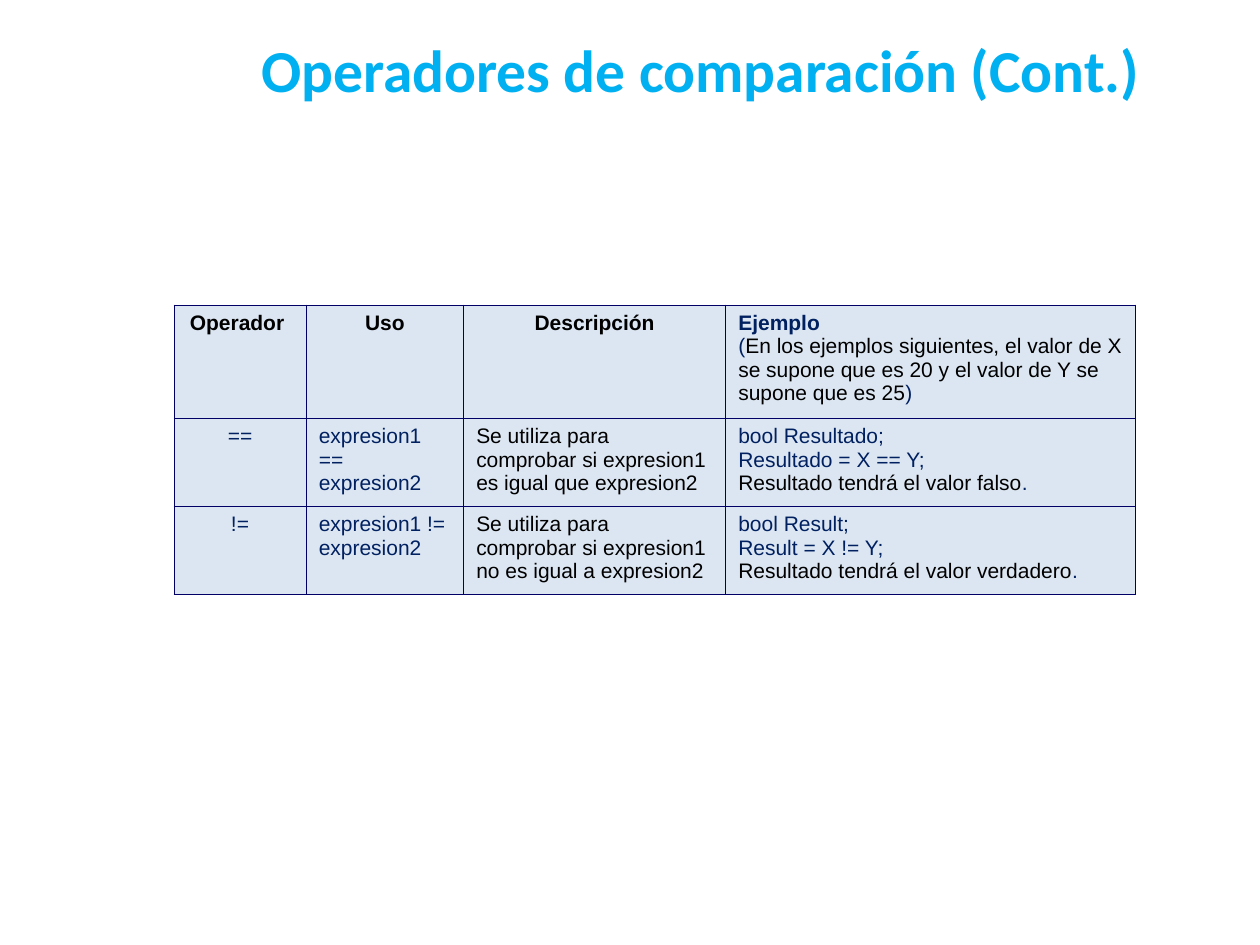
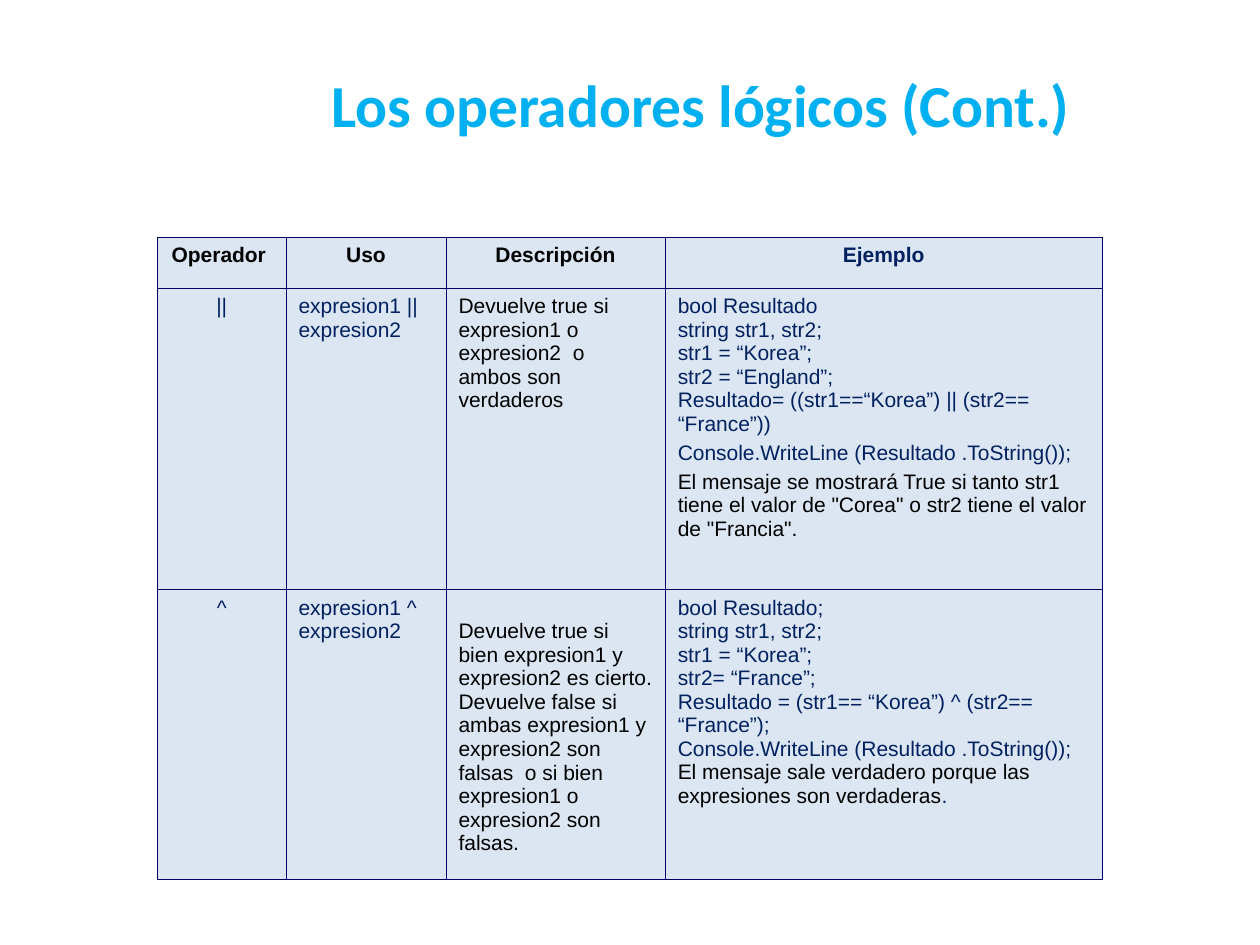
from lxml.etree import SubElement as Sub
from pptx import Presentation
from pptx.dml.color import RGBColor as RGB
from pptx.enum.text import MSO_ANCHOR as Anchor, MSO_AUTO_SIZE as Auto, PP_ALIGN as Align
from pptx.oxml.ns import qn
from pptx.util import Inches, Pt

SKY = RGB(0x00, 0xB0, 0xF0)
NAVY = RGB(0x00, 0x20, 0x60)
BLACK = RGB(0x00, 0x00, 0x00)
PALE = RGB(0xDC, 0xE6, 0xF2)
RULE = RGB(0x00, 0x00, 0x66)

HEADS = ["Operador ", "Uso", "Descripción"]

COMPARE = [
    HEADS + [["Ejemplo",
              [("(", NAVY),
               ("En los ejemplos siguientes, el valor de X se supone que es 20 "
                "y el valor de Y se supone que es 25", BLACK),
               (")", NAVY)]]],
    ["==", "expresion1 == expresion2",
     "Se utiliza para comprobar si expresion1 es igual que expresion2",
     ["bool Resultado;", "Resultado = X == Y;",
      [("Resultado tendrá el valor falso", BLACK), (".", NAVY)]]],
    ["!=", "expresion1 != expresion2",
     "Se utiliza para comprobar si expresion1 no es igual a expresion2",
     ["bool Result;", "Result = X != Y;",
      [("Resultado tendrá el valor verdadero", BLACK), (".", NAVY)]]],
]

LOGIC = [
    HEADS + ["Ejemplo"],
    ["||", "expresion1 || expresion2",
     "Devuelve true si  expresion1 o expresion2  o ambos son verdaderos",
     ["bool Resultado", "string str1, str2;", "str1 = “Korea”;", "str2 = “England”;",
      "Resultado= ((str1==“Korea”) || (str2== “France”))",
      "Console.WriteLine (Resultado .ToString());",
      [("El mensaje se mostrará True si tanto str1 tiene el valor de \"Corea\" "
        "o str2 tiene el valor de \"Francia\".", BLACK)]]],
    ["^", "expresion1 ^ expresion2",
     "Devuelve true si bien expresion1 y expresion2 es cierto. Devuelve false si "
     "ambas expresion1 y expresion2 son falsas  o si bien expresion1 o expresion2 "
     "son falsas.",
     ["bool Resultado;", "string str1, str2;", "str1 = “Korea”;", "str2= “France”;",
      "Resultado = (str1== “Korea”) ^ (str2== “France”);",
      "Console.WriteLine (Resultado .ToString());",
      [("El mensaje sale verdadero porque las expresiones son verdaderas", BLACK),
       (".", NAVY)]]],
]


def write(frame, text, size=12, face="Arial", color=NAVY, bold=False,
          align=Align.LEFT, lead=None):
    """Fill a frame from a string or a list of paragraphs; bold marks the first one.

    A paragraph is a string or a list of (text, colour) runs.
    """
    paras = [text] if isinstance(text, str) else text
    for i, para in enumerate(paras):
        line = frame.add_paragraph() if i else frame.paragraphs[0]
        line.alignment = align
        if lead:
            line.line_spacing = lead
        runs = [(para, color)] if isinstance(para, str) else para
        for words, ink in runs:
            run = line.add_run()
            run.text = words
            font = run.font
            font.size, font.name, font.bold = Pt(size), face, bold and i == 0
            font.color.rgb = ink


def add_title(slide, text, top):
    title = slide.shapes.title
    title.left, title.top = Inches(1.38), Inches(top)
    title.width, title.height = Inches(8.36), Inches(0.87)
    frame = title.text_frame
    frame.auto_size, frame.vertical_anchor = Auto.NONE, Anchor.MIDDLE
    write(frame, text, size=34, face="Calibri", color=SKY, bold=True,
          align=Align.CENTER, lead=0.8)


def rule_cell(cell):
    """Draw the thin border on all four sides."""
    props = cell._tc.get_or_add_tcPr()
    for i, side in enumerate("LRTB"):
        line = Sub(props, qn("a:ln" + side), w=str(Pt(0.45)))
        Sub(Sub(line, qn("a:solidFill")), qn("a:srgbClr"), val=str(RULE))
        props.insert(i, line)


def add_grid(slide, rows, left, top, widths, heights):
    shape = slide.shapes.add_table(
        len(rows), len(widths), Inches(left), Inches(top),
        Inches(sum(widths)), Inches(sum(heights)))
    grid = shape.table
    grid.first_row = grid.horz_banding = False
    for col, width in zip(grid.columns, widths):
        col.width = Inches(width)
    for row, height in zip(grid.rows, heights):
        row.height = Inches(height)
    for r, row in enumerate(rows):
        for c, text in enumerate(row):
            cell = grid.cell(r, c)
            cell.fill.solid()
            cell.fill.fore_color.rgb = PALE
            rule_cell(cell)
            head = r == 0
            dark = c == 2 or head and c < 3
            mid = c == 0 or head and isinstance(text, str)
            write(cell.text_frame, text, bold=head,
                  color=BLACK if dark else NAVY,
                  align=Align.CENTER if mid else Align.LEFT)
    return grid


def main():
    deck = Presentation()
    deck.slide_width, deck.slide_height = Inches(10), Inches(7.5)
    layout = deck.slide_layouts[5]

    slide = deck.slides.add_slide(layout)
    add_title(slide, "Operadores de comparación (Cont.)", 0.16)
    add_grid(slide, COMPARE, 1.38, 2.42, [1.05, 1.25, 2.08, 3.25], [0.9, 0.7, 0.7])

    slide = deck.slides.add_slide(layout)
    add_title(slide, "Los operadores lógicos (Cont.)", 0.44)
    grid = add_grid(slide, LOGIC, 1.25, 1.88, [1.02, 1.27, 1.74, 3.47],
                    [0.41, 2.39, 2.3])
    for line in grid.cell(1, 3).text_frame.paragraphs[5:]:
        line.space_before = Pt(3)
    grid.cell(2, 2).margin_top = Inches(0.24)

    deck.save("out.pptx")


if __name__ == "__main__":
    main()
